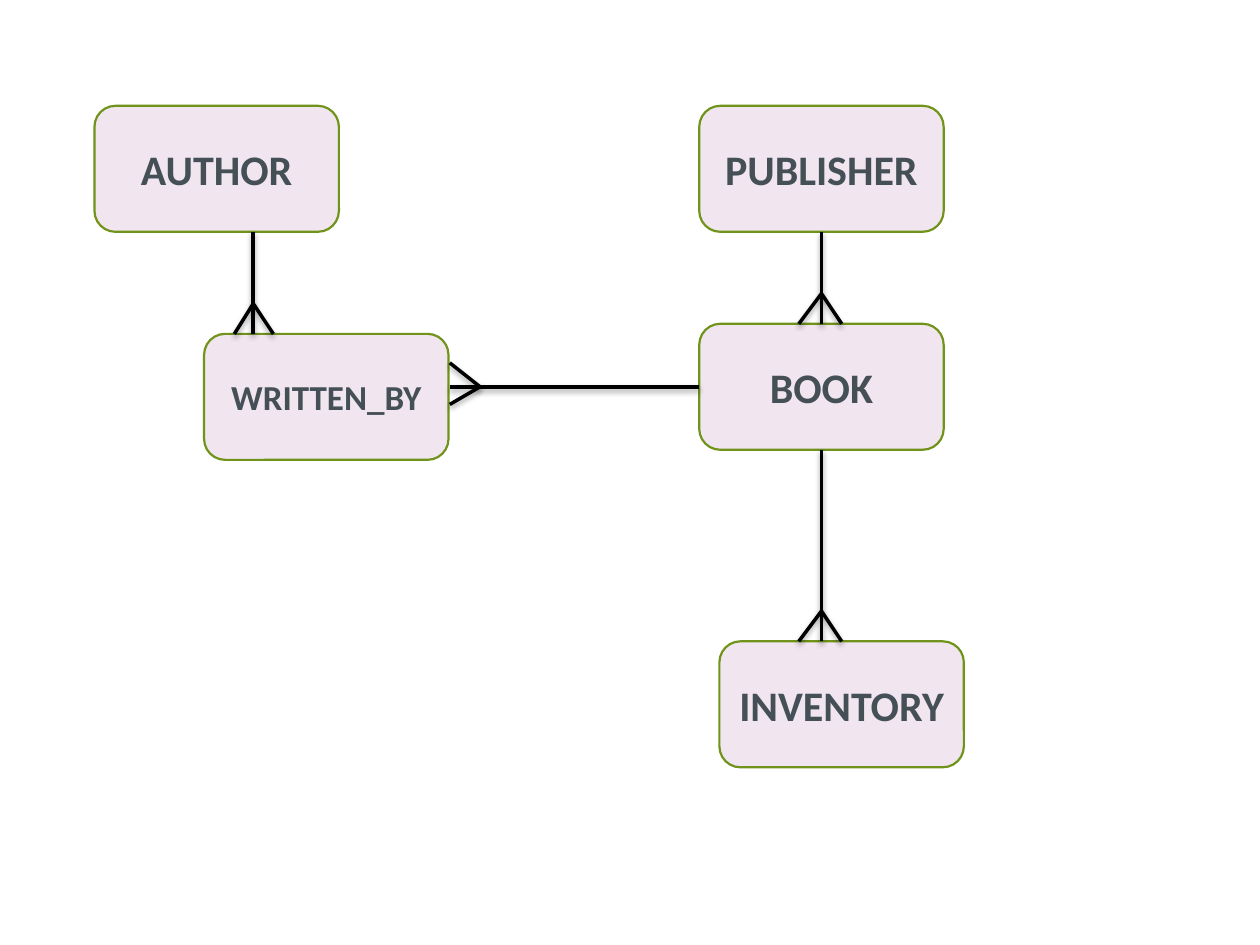
import lxml.etree
import pptx
import pptx.dml.color
import pptx.enum.shapes
import pptx.enum.text
import pptx.oxml
import pptx.oxml.ns
import pptx.util

COLORS = {"fill": "F1E5F0", "border": "70931A", "text": "444F56", "link": "000000"}
COLUMNS, ROWS = 100, 75
ENTITY_WIDTH, ENTITY_HEIGHT = 19.4, 10
ENTITIES = {
    "AUTHOR": (7.5, 8.4, 24),
    "WRITTEN_BY": (16.2, 26.5, 20),
    "INVENTORY": (57.1, 50.9, 24),
    "BOOK": (55.5, 25.7, 24),
    "PUBLISHER": (55.5, 8.4, 24),
}
RELATIONS = [
    ((20.1, 18.4), (20.1, 26.5), [(-1.5, 0), (1.6, 0)]),
    ((55.5, 30.7), (35.7, 30.7), [(0, -1.9), (0, 1.4)]),
    ((65.2, 18.4), (65.2, 25.7), [(-1.8, 0), (1.6, 0)]),
    ((65.2, 35.7), (65.2, 50.9), [(-1.8, 0), (1.6, 0)]),
]
FOOT_LENGTH = 2.4


def color(name):
    """Return the named colour."""
    return pptx.dml.color.RGBColor.from_string(COLORS[name])


def set_values(item, values):
    """Set each attribute of an object from a dict."""
    for name, value in values.items():
        setattr(item, name, value)


def add_entity(page, cell, name, box, size):
    """Draw one named entity in its box of grid units."""
    left, top, width, height = box
    shape = page.shapes.add_shape(
        pptx.enum.shapes.MSO_SHAPE.ROUNDED_RECTANGLE,
        int(left * cell[0]), int(top * cell[1]),
        int(width * cell[0]), int(height * cell[1]),
    )
    shape.shadow.inherit = False
    shape.fill.solid()
    shape.fill.fore_color.rgb = color("fill")
    shape.line.color.rgb = color("border")
    shape.line.width = pptx.util.Pt(1.25)
    set_values(shape.text_frame, {
        "word_wrap": True,
        "vertical_anchor": pptx.enum.text.MSO_ANCHOR.MIDDLE,
    })
    para = shape.text_frame.paragraphs[0]
    para.alignment = pptx.enum.text.PP_ALIGN.CENTER
    span = para.add_run()
    span.text = name
    set_values(span.font, {"name": "Calibri", "size": pptx.util.Pt(size), "bold": True})
    span.font.color.rgb = color("text")


def add_shadow(line):
    """Give a line a soft shadow below it."""
    effects = lxml.etree.SubElement(
        line.element.spPr, pptx.oxml.ns.qn("a:effectLst"))
    shadow = lxml.etree.SubElement(
        effects, pptx.oxml.ns.qn("a:outerShdw"),
        blurRad="40000", dist="23000", dir="5400000", rotWithShape="0")
    tint = lxml.etree.SubElement(
        shadow, pptx.oxml.ns.qn("a:srgbClr"), val=COLORS["link"])
    lxml.etree.SubElement(tint, pptx.oxml.ns.qn("a:alpha"), val="35000")


def add_line(page, cell, start, end):
    """Draw a straight line between two grid points."""
    points = [int(place * unit) for point in (start, end)
              for place, unit in zip(point, cell)]
    line = page.shapes.add_connector(
        pptx.enum.shapes.MSO_CONNECTOR.STRAIGHT, *points)
    line.line.color.rgb = color("link")
    line.line.width = pptx.util.Pt(2)
    add_shadow(line)


def add_relation(page, cell, start, end, toes):
    """Draw a line that ends in a crow's foot on the many side."""
    add_line(page, cell, start, end)
    span = [begin - finish for begin, finish in zip(start, end)]
    share = FOOT_LENGTH / max(abs(length) for length in span)
    heel = [finish + length * share for finish, length in zip(end, span)]
    for toe in toes:
        add_line(page, cell, heel, [finish + shift for finish, shift in zip(end, toe)])


def add_diagram(page, cell):
    """Draw the entities and the relations between them."""
    for name, (left, top, size) in ENTITIES.items():
        add_entity(page, cell, name, (left, top, ENTITY_WIDTH, ENTITY_HEIGHT), size)
    for start, end, toes in RELATIONS:
        add_relation(page, cell, start, end, toes)


def main():
    """Build and save the deck."""
    deck = pptx.Presentation()
    set_values(deck, {
        "slide_width": pptx.util.Inches(10),
        "slide_height": pptx.util.Inches(7.5),
    })
    page = deck.slides.add_slide(deck.slide_layouts[6])
    add_diagram(page, (deck.slide_width / COLUMNS, deck.slide_height / ROWS))
    deck.save("out.pptx")


if __name__ == "__main__":
    main()
